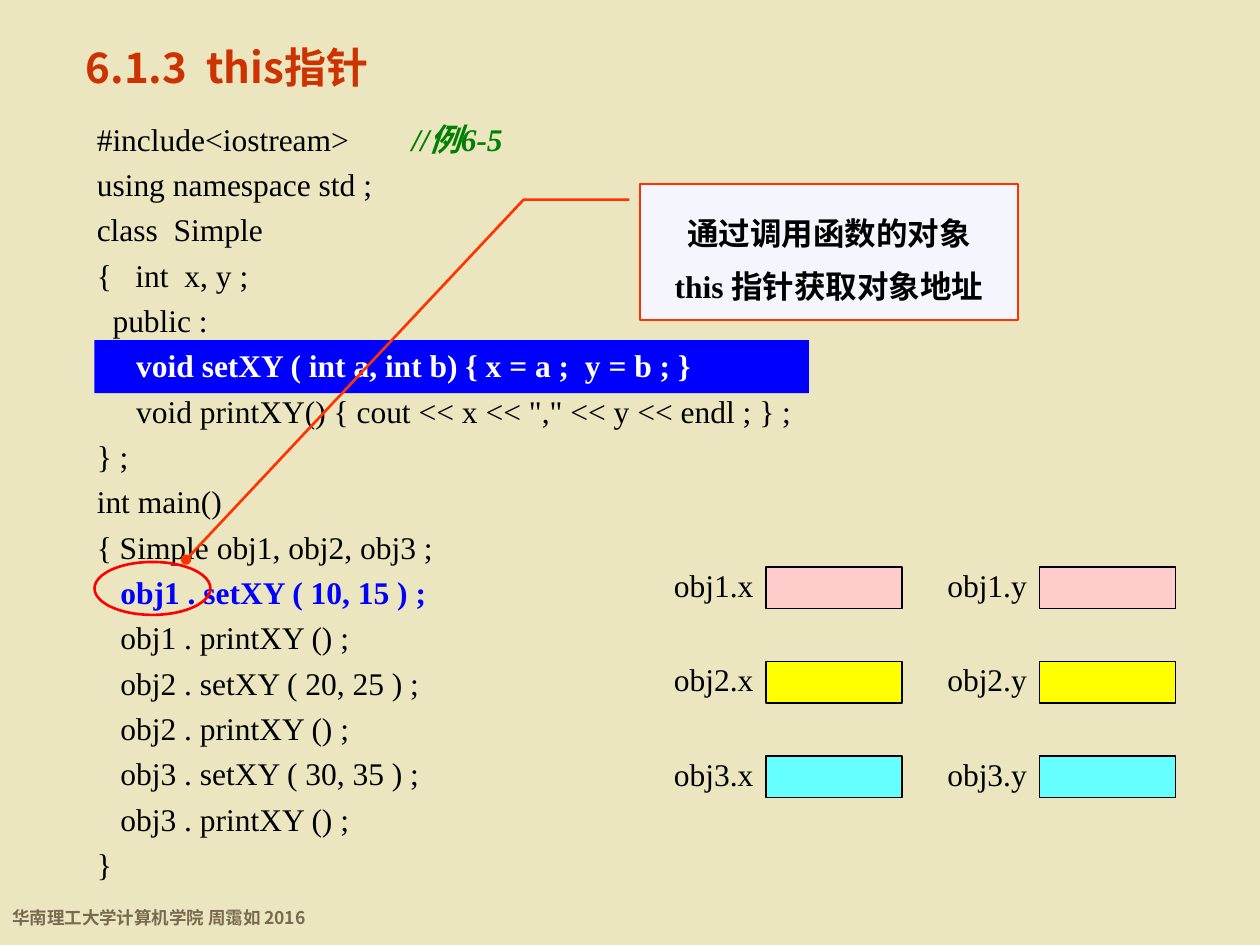
from lxml.etree import SubElement
from pptx import Presentation
from pptx.dml.color import RGBColor
from pptx.enum.shapes import MSO_SHAPE
from pptx.enum.text import MSO_ANCHOR, PP_ALIGN
from pptx.oxml.ns import qn
from pptx.util import Inches, Pt

COLORS = {
    "background": "ECE6C0", "title": "CC3300", "footer": "786950",
    "text": "000000", "comment": "008000", "highlight": "0000FF",
    "white": "FFFFFF", "ring": "FF0000", "callout": "FF3300",
    "callout_fill": "F5F6FD", "obj1": "FFCCCC", "obj2": "FFFF00",
    "obj3": "66FFFF",
}
SANS, SERIF = "Noto Sans CJK SC", "Times New Roman"

# Each code line is a list of (text, style) runs.
CODE = [
    [("#include<iostream> \t", None), ("//例6-5", "comment")],
    [("using namespace std ;", None)],
    [("class  Simple", None)],
    [("{   int  x, y ;", None)],
    [("  public :", None)],
    [("     ", None), ("void setXY ( int a, int b) { x = a ;  y = b ; }", "white")],
    [('     void printXY() { cout << x << "," << y << endl ; } ;', None)],
    [("} ;", None)],
    [("int main()", None)],
    [("{ Simple obj1, obj2, obj3 ;", None)],
    [("   ", None), ("obj1 . setXY ( 10, 15 ) ;", "highlight")],
    [("   obj1 . printXY () ;", None)],
    [("   obj2 . setXY ( 20, 25 ) ;", None)],
    [("   obj2 . printXY () ;", None)],
    [("   obj3 . setXY ( 30, 35 ) ;", None)],
    [("   obj3 . printXY () ;", None)],
    [("}", None)],
]


def rgb(name):
    return RGBColor.from_string(COLORS[name])


def style(font, size, face, color, bold=False):
    font.size, font.name, font.bold = Pt(size), face, bold
    font.color.rgb = rgb(color)


def add_box(slide, preset, box, fill=None, line=None, width=0.75):
    shape = slide.shapes.add_shape(preset, *map(Inches, box))
    shape.shadow.inherit = False
    if fill:
        shape.fill.solid()
        shape.fill.fore_color.rgb = rgb(fill)
    else:
        shape.fill.background()
    if line:
        shape.line.color.rgb = rgb(line)
        shape.line.width = Pt(width)
    else:
        shape.line.fill.background()
    return shape


def add_label(slide, box, text, size, face, color, spacing, bold=False):
    frame = slide.shapes.add_textbox(*map(Inches, box)).text_frame
    frame.word_wrap = False
    label = frame.paragraphs[0]
    label.text = text
    label.line_spacing = spacing
    style(label.font, size, face, color, bold)


def add_title(slide, box):
    title = slide.shapes.title
    title.left, title.top, title.width, title.height = map(Inches, box)
    title.text_frame.vertical_anchor = MSO_ANCHOR.TOP
    heading = title.text_frame.paragraphs[0]
    heading.text = "6.1.3  this指针"
    heading.alignment = PP_ALIGN.LEFT
    style(heading.font, 24, SANS, "title", bold=True)


def add_code(slide, box):
    """Place the listing over the bar that marks setXY."""
    left, top, width, height = box
    add_box(slide, MSO_SHAPE.RECTANGLE, (left + 0.08, top + 1.86, 5.67, 0.42), "highlight")
    frame = slide.shapes.add_textbox(*map(Inches, box)).text_frame
    frame.word_wrap = True
    for number, runs in enumerate(CODE):
        line = frame.add_paragraph() if number else frame.paragraphs[0]
        line.line_spacing = 1.2
        style(line.font, 18, SERIF, "text")
        for text, emphasis in runs:
            run = line.add_run()
            run.text = text
            if emphasis:
                run.font.bold = True
                run.font.italic = emphasis == "comment"
                run.font.color.rgb = rgb(emphasis)


def add_members(slide, box):
    """Draw the x and y cells of each object, a row per object."""
    left, top, width, height = box
    label_width, cell_width, cell_height = 0.83, 1.08, 0.33
    column_step = width - label_width - cell_width
    row_step = (height - cell_height) / 2
    for row, name in enumerate(("obj1", "obj2", "obj3")):
        for column, member in enumerate("xy"):
            x, y = left + column * column_step, top + row * row_step
            add_box(slide, MSO_SHAPE.RECTANGLE,
                    (x + label_width, y, cell_width, cell_height), name, "text")
            add_label(slide, (x, y, label_width, cell_height),
                      f"{name}.{member}", 18, SERIF, "text", 0.8)


def add_callout(slide, box):
    callout = add_box(slide, MSO_SHAPE.LINE_CALLOUT_2, box, "callout_fill", "callout", 1.5)
    for index, value in enumerate((0.115, -0.028, 0.115, -0.308, 2.761, -1.201)):
        callout.adjustments[index] = value
    SubElement(callout.line._get_or_add_ln(), qn("a:tailEnd"), type="oval")
    frame = callout.text_frame
    frame.word_wrap = True
    frame.vertical_anchor = MSO_ANCHOR.MIDDLE
    frame.text = "通过调用函数的对象\nthis 指针获取对象地址"
    for paragraph in frame.paragraphs:
        paragraph.alignment = PP_ALIGN.CENTER
        style(paragraph.font, 18, SERIF, "text", bold=True)
    first, second = frame.paragraphs
    first.line_spacing = 1.4
    second.space_before = Pt(9)


def main():
    presentation = Presentation()
    presentation.slide_width, presentation.slide_height = Inches(10), Inches(7.5)
    slide = presentation.slides.add_slide(presentation.slide_layouts[5])
    slide.background.fill.solid()
    slide.background.fill.fore_color.rgb = rgb("background")

    add_label(slide, (0, 7.08, 2.66, 0.34), "华南理工大学计算机学院 周霭如 2016",
              10, SANS, "footer", 1.4, bold=True)
    add_title(slide, (0.58, 0.28, 6.17, 0.67))
    add_code(slide, (0.67, 0.84, 6, 6.24))
    add_members(slide, (5.25, 4.5, 4.08, 1.83))
    add_box(slide, MSO_SHAPE.OVAL, (0.75, 4.46, 0.92, 0.42), line="ring", width=1.5)
    add_callout(slide, (5.08, 1.46, 3, 1.08))
    presentation.save("out.pptx")


if __name__ == "__main__":
    main()
